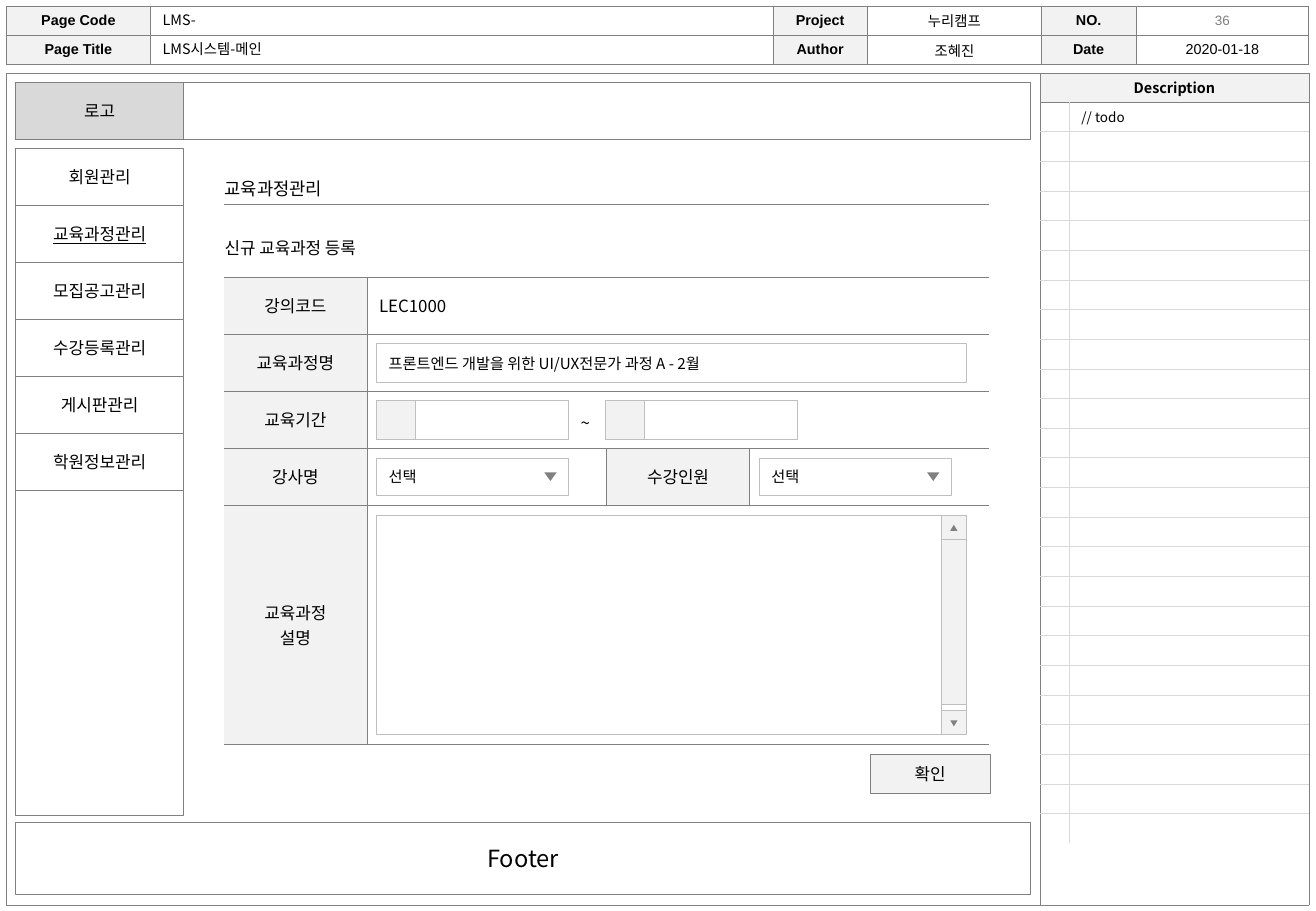
import pptx
import pptx.util
import pptx.dml.color
import pptx.enum.shapes
import pptx.enum.text
import pptx.oxml.ns
from lxml import etree

Inches = pptx.util.Inches
SHAPE = pptx.enum.shapes.MSO_SHAPE
ALIGN = pptx.enum.text.PP_ALIGN
ANCHOR = pptx.enum.text.MSO_ANCHOR
qn = pptx.oxml.ns.qn
KOREAN = "Noto Sans CJK KR"
GRAY, SILVER, PALE, SHADE = "808080", "BFBFBF", "F2F2F2", "D9D9D9"


def color(hex_code):
    return pptx.dml.color.RGBColor.from_string(hex_code)


def write(frame, text, size=10, font=KOREAN, ink="000000", bold=False,
          underline=False, align=ALIGN.LEFT):
    for index, line in enumerate(text.split("\n")):
        paragraph = frame.paragraphs[0] if index == 0 else frame.add_paragraph()
        paragraph.alignment = align
        if not line:
            etree.SubElement(paragraph._p, qn("a:endParaRPr"), sz=str(int(size * 100)))
            continue
        run = paragraph.add_run()
        run.text = line
        run.font.size = pptx.util.Pt(size)
        run.font.name = font
        run.font.bold = bold
        run.font.underline = underline
        run.font.color.rgb = color(ink)
        etree.SubElement(run._r.get_or_add_rPr(), qn("a:ea"), typeface=KOREAN)


def add_block(slide, left, top, width, height, text="", fill="FFFFFF", line=GRAY,
              weight=0.5, kind=SHAPE.RECTANGLE, align=ALIGN.CENTER, **format):
    block = slide.shapes.add_shape(kind, Inches(left), Inches(top), Inches(width), Inches(height))
    block.shadow.inherit = False
    block.fill.solid()
    block.fill.fore_color.rgb = color(fill)
    if line:
        block.line.color.rgb = color(line)
        block.line.width = pptx.util.Pt(weight)
    else:
        block.line.fill.background()
    if text:
        block.text_frame.word_wrap = True
        block.text_frame.vertical_anchor = ANCHOR.MIDDLE
        write(block.text_frame, text, align=align, **format)
    return block


def add_arrow(slide, left, top, width, height, down=True):
    arrow = add_block(slide, left, top, width, height, fill=GRAY, line=None,
                      kind=SHAPE.ISOSCELES_TRIANGLE)
    arrow.rotation = 180 if down else 0


def add_label(slide, left, top, width, height, text, **format):
    label = slide.shapes.add_textbox(Inches(left), Inches(top), Inches(width), Inches(height))
    label.text_frame.word_wrap = True
    write(label.text_frame, text, **format)


def add_grid(slide, left, top, columns, rows):
    grid = slide.shapes.add_table(len(rows), len(columns), Inches(left), Inches(top),
                                  Inches(sum(columns)), Inches(sum(rows))).table
    grid.first_row = False
    grid.horz_banding = False
    for column, width in zip(grid.columns, columns):
        column.width = Inches(width)
    for row, height in zip(grid.rows, rows):
        row.height = Inches(height)
    return grid


def format_cell(cell, text="", sides="LRTB", line=GRAY, weight=0.25, fill=None,
                margin=0.02, **format):
    properties = cell._tc.get_or_add_tcPr()
    for side in "LRTB":
        border = etree.SubElement(properties, qn("a:ln" + side),
                                  w=str(pptx.util.Pt(weight)))
        if side in sides:
            paint = etree.SubElement(border, qn("a:solidFill"))
            etree.SubElement(paint, qn("a:srgbClr"), val=line)
        else:
            etree.SubElement(border, qn("a:noFill"))
    if fill:
        cell.fill.solid()
        cell.fill.fore_color.rgb = color(fill)
    else:
        cell.fill.background()
    cell.vertical_anchor = ANCHOR.MIDDLE
    cell.margin_top = cell.margin_bottom = Inches(margin)
    write(cell.text_frame, text, **format)


def build_page_header(slide, left, top):
    row_height = 0.24
    header = add_grid(slide, left, top, [1.19, 5.12, 0.78, 1.43, 0.78, 1.42], [row_height] * 2)
    entries = [["Page Code", "", "Project", "누리캠프", "NO.", ""],
               ["Page Title", "", "Author", "조혜진", "Date", "2020-01-18"]]
    for r, entry in enumerate(entries):
        for c, text in enumerate(entry):
            is_name = c % 2 == 0
            format_cell(header.cell(r, c), text, fill=PALE if is_name else None, size=8.5,
                        font="Arial", bold=is_name, align=ALIGN.CENTER)
    for r, text in enumerate(["LMS-", "LMS시스템-메인"]):
        add_label(slide, left + 1.19, top - 0.01 + r * row_height, 5.12, row_height, text, size=8.5)
    add_label(slide, left + 9.3, top, 1.42, row_height, "36", size=8, font="Arial",
              ink="7F7F7F", align=ALIGN.CENTER)


def build_description(slide, left, top):
    heading_height, main_width = 0.24, 8.51
    panel = add_grid(slide, left, top, [main_width, 2.21], [heading_height, 6.61])
    format_cell(panel.cell(0, 0), sides="LTR", size=8)
    format_cell(panel.cell(1, 0), sides="LRB", size=8)
    format_cell(panel.cell(0, 1), "Description", fill=PALE, size=8.5, bold=True,
                align=ALIGN.CENTER)
    format_cell(panel.cell(1, 1), size=8)
    note_count = 25
    notes = add_grid(slide, left + main_width, top + heading_height, [0.24, 1.97],
                     [6.11 / note_count] * note_count)
    for r in range(note_count):
        edges = ("T" if r > 0 else "") + ("B" if r < note_count - 1 else "")
        format_cell(notes.cell(r, 0), sides=edges + "R", line=SHADE, weight=0.5, size=8)
        format_cell(notes.cell(r, 1), "// todo" if r == 0 else "", sides=edges + "L",
                    line=SHADE, weight=0.5, size=8)


def build_site_frame(slide, left, top):
    width, menu_width, step = 8.35, 1.38, 0.47
    add_block(slide, left, top, width, step)
    add_block(slide, left, top, menu_width, step, "로고", fill=SHADE, weight=0.75)
    menu_top = top + 0.54
    add_block(slide, left, menu_top, menu_width, 5.49)
    menu = ["회원관리", "교육과정관리", "모집공고관리", "수강등록관리", "게시판관리", "학원정보관리"]
    for index, item in enumerate(menu):
        add_block(slide, left, menu_top + index * step, menu_width, step, item,
                  underline=item == "교육과정관리")
    add_block(slide, left, top + 6.09, width, 0.59, "Footer", size=14)


def build_heading(slide, left, top):
    title = slide.shapes.title
    title.left, title.top = Inches(left - 0.09), Inches(top + 0.01)
    title.width, title.height = Inches(1.2), Inches(0.28)
    title.text_frame.word_wrap = True
    title.text_frame.auto_size = pptx.enum.text.MSO_AUTO_SIZE.NONE
    title.text_frame.vertical_anchor = ANCHOR.TOP
    write(title.text_frame, "교육과정관리", size=10.5)
    rule = slide.shapes.add_connector(pptx.enum.shapes.MSO_CONNECTOR.STRAIGHT, Inches(left),
                                      Inches(top + 0.28), Inches(left + 6.3), Inches(top + 0.28))
    rule.line.color.rgb = color(GRAY)
    rule.line.width = pptx.util.Pt(0.5)
    etree.SubElement(rule._element.spPr, qn("a:effectLst"))
    add_label(slide, left - 0.09, top + 0.51, 1.42, 0.27, "신규 교육과정 등록")


def add_select(slide, left, top):
    add_block(slide, left, top, 1.58, 0.31, "선택", line=SILVER, size=9, align=ALIGN.LEFT)
    add_arrow(slide, left + 1.38, top + 0.12, 0.1, 0.07)


def add_date_field(slide, left, top):
    add_block(slide, left, top, 1.58, 0.32, line=SILVER)
    add_block(slide, left, top, 0.32, 0.32, fill=PALE, line=SILVER)


def add_text_area(slide, left, top):
    bar = left + 4.65
    button = 0.2
    add_block(slide, left, top, 4.65, 1.81, line=SILVER)
    add_block(slide, bar, top, button, 1.81, line=SILVER)
    add_block(slide, bar, top + button, button, 1.36, fill=PALE, line=SILVER)
    for offset, down in [(0, False), (1.61, True)]:
        add_block(slide, bar, top + offset, button, button, fill=PALE, line=SILVER)
        add_arrow(slide, bar + 0.07, top + offset + 0.08, 0.06, 0.05, down)


def build_course_form(slide, left, top):
    form = add_grid(slide, left, top, [1.18, 1.97, 1.18, 1.97], [0.47] * 4 + [1.97])
    entries = [["강의코드", "LEC1000", "", ""], ["교육과정명", "", "", ""],
               ["교육기간", "", "", ""], ["강사명", "", "수강인원", ""],
               ["교육과정\n설명", "", "", ""]]
    for r, entry in enumerate(entries):
        is_split = bool(entry[2])
        if not is_split:
            form.cell(r, 1).merge(form.cell(r, 3))
        for c, text in enumerate(entry):
            is_name = c == 0 or (c == 2 and is_split)
            sides = "TB"
            if c == 1 or (c > 1 and is_split):
                sides += "L"
            if c == 0 or (c < 3 and is_split):
                sides += "R"
            format_cell(form.cell(r, c), text, sides=sides, weight=0.5,
                        fill=PALE if is_name else None, margin=0.05,
                        align=ALIGN.CENTER if is_name else ALIGN.LEFT)
    field = left + 1.26
    add_block(slide, field, top + 0.55, 4.85, 0.32,
              "프론트엔드 개발을 위한 UI/UX전문가 과정 A - 2월",
              line=SILVER, size=9, align=ALIGN.LEFT)
    for start in (field, field + 1.88):
        add_date_field(slide, start, top + 1.02)
    add_label(slide, field + 1.58, top + 1.07, 0.3, 0.27, "~")
    for start in (field, field + 3.15):
        add_select(slide, start, top + 1.49)
    add_text_area(slide, field, top + 1.96)
    add_block(slide, left + 5.32, top + 3.93, 0.99, 0.32, "확인", fill=PALE)


def main():
    deck = pptx.Presentation()
    deck.slide_width, deck.slide_height = Inches(10.83), Inches(7.5)
    slide = deck.slides.add_slide(deck.slide_layouts[5])
    build_description(slide, 0.05, 0.6)
    build_page_header(slide, 0.05, 0.05)
    build_site_frame(slide, 0.13, 0.68)
    build_heading(slide, 1.84, 1.4)
    build_course_form(slide, 1.84, 2.28)
    deck.save("out.pptx")


if __name__ == "__main__":
    main()
